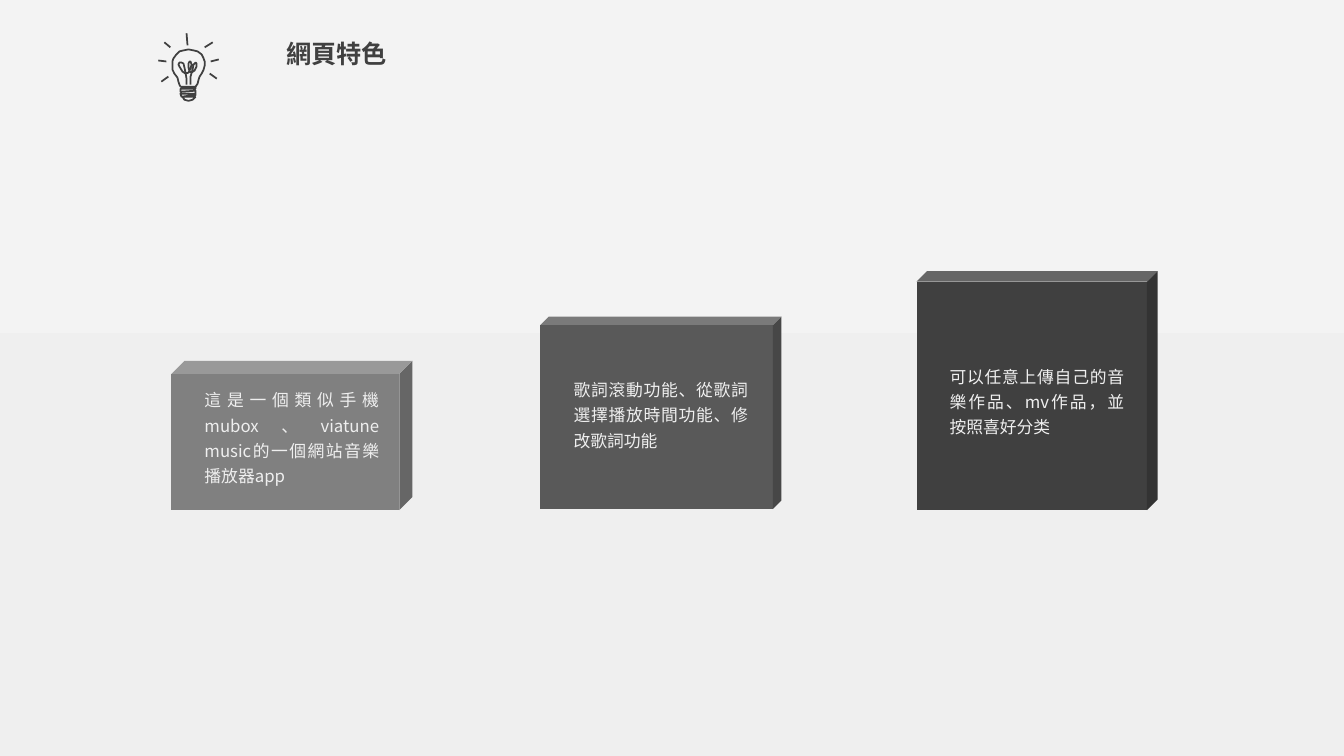
"""Build the slide of website features: a light bulb, a title and three rising cubes."""
import pptx
import pptx.dml.color
import pptx.enum.shapes
import pptx.enum.text
import pptx.oxml
import pptx.oxml.ns
import pptx.util

PX = 9144
FONT = "Noto Sans CJK SC"
DARK = "404040"
PALE = "EFEFEF"

BULB_STROKES = [
    [(179, 86), (178, 84), (177, 81), (176, 77), (173, 73), (171, 69), (171, 65),
     (171, 61), (172, 58), (175, 54), (178, 51), (182, 50), (187, 49), (192, 50),
     (196, 51), (200, 54), (202, 58), (203, 61), (203, 65), (202, 69), (200, 73),
     (198, 76), (197, 79), (196, 83), (194, 86)],
    [(185, 84), (185, 78), (184, 72), (183, 67), (182, 63), (180, 62), (178, 62),
     (177, 64), (178, 66), (181, 71), (184, 73), (187, 72), (189, 68), (190, 64),
     (189, 61), (188, 61), (187, 63), (187, 67), (188, 71), (190, 72), (193, 70),
     (195, 66), (195, 63), (194, 62), (192, 64), (191, 69), (189, 76), (189, 84)],
    [(179, 86), (194, 86), (194, 88), (179, 88), (179, 91), (194, 90), (194, 93),
     (179, 93), (180, 96), (194, 94), (193, 96), (181, 96), (183, 99), (187, 100),
     (191, 99), (194, 96)],
]
RAYS = [
    (185, 33, 186, 45), (211, 42, 203, 47), (217, 59, 209, 61), (215, 78, 208, 73),
    (163, 42, 169, 47), (157, 60, 165, 61), (160, 81, 167, 76),
]
FEATURES = [
    (170, 358, 148, 0.088, "808080", 377, 111,
     "這是一個類似手機mubox、viatune music的一個網站音樂播放器app"),
    (536, 314, 191, 0.044, "595959", 367, 86,
     "歌詞滾動功能、從歌詞選擇播放時間功能、修改歌詞功能"),
    (909, 269, 237, 0.044, "404040", 354, 86,
     "可以任意上傳自己的音樂作品、mv作品，並按照喜好分类"),
]


def px(*lengths):
    """Turn whole px lengths into EMU."""
    return [length * PX for length in lengths]


def color(value):
    """Turn a hex string into a colour."""
    return pptx.dml.color.RGBColor.from_string(value)


def style_line(line):
    """Give a stroke the weight and colour of the drawing."""
    line.width = pptx.util.Pt(1.25)
    line.color.rgb = color(DARK)


def fill_text(shape, text, size, hue, alignment, bold=False, spacing=None):
    """Write one formatted paragraph into a shape."""
    frame = shape.text_frame
    frame.text = text
    frame.word_wrap = True
    frame.vertical_anchor = pptx.enum.text.MSO_ANCHOR.TOP
    frame.auto_size = pptx.enum.text.MSO_AUTO_SIZE.SHAPE_TO_FIT_TEXT
    paragraph = frame.paragraphs[0]
    paragraph.alignment = alignment
    paragraph.line_spacing = spacing
    font = paragraph.font
    font.size = pptx.util.Pt(size)
    font.bold = bold
    font.color.rgb = color(hue)
    font.name = FONT
    properties = paragraph._p.pPr.find(pptx.oxml.ns.qn("a:defRPr"))
    east_asian = pptx.oxml.parse_xml(
        f'<a:ea {pptx.oxml.ns.nsdecls("a")} typeface="{FONT}"/>')
    properties.append(east_asian)


def set_background(slide):
    """Fade the background from pale at the foot to lighter at the top."""
    fill = slide.background.fill
    fill.gradient()
    fill.gradient_angle = 90
    for stop, position, hue in zip(fill.gradient_stops, (0.12, 1), (PALE, "F3F3F3")):
        stop.position = position
        stop.color.rgb = color(hue)


def add_bulb(slide):
    """Draw the bulb outline, filament and base as one freeform."""
    builder = slide.shapes.build_freeform(*BULB_STROKES[0][0], scale=PX)
    for stroke in BULB_STROKES:
        builder.move_to(*stroke[0])
        builder.add_line_segments(stroke[1:], close=False)
    bulb = builder.convert_to_shape()
    bulb.shadow.inherit = False
    bulb.fill.background()
    style_line(bulb.line)


def add_ray(slide, ends):
    """Draw one ray of light."""
    ray = slide.shapes.add_connector(
        pptx.enum.shapes.MSO_CONNECTOR.STRAIGHT, *px(*ends))
    style_line(ray.line)
    ray._element.spPr.append(
        pptx.oxml.parse_xml(f'<a:effectLst {pptx.oxml.ns.nsdecls("a")}/>'))


def add_cube(slide, left, top, height, depth, hue):
    """Draw one cube."""
    cube = slide.shapes.add_shape(
        pptx.enum.shapes.MSO_SHAPE.CUBE, *px(left, top, 239, height))
    cube.adjustments[0] = depth
    cube.shadow.inherit = False
    cube.fill.solid()
    cube.fill.fore_color.rgb = color(hue)
    cube.line.fill.background()


def add_caption(slide, left, top, height, text):
    """Write the justified text of one feature."""
    caption = slide.shapes.add_textbox(*px(left, top, 193, height))
    fill_text(caption, text, 12, PALE, pptx.enum.text.PP_ALIGN.JUSTIFY, spacing=1.25)


def add_title(slide, text):
    """Place and write the title."""
    title = slide.shapes.title
    title.left, title.top, title.width, title.height = px(63, 33, 542, 40)
    fill_text(title, text, 18, DARK, pptx.enum.text.PP_ALIGN.CENTER, bold=True)


def main():
    """Build and save the slide."""
    presentation = pptx.Presentation()
    presentation.slide_width, presentation.slide_height = px(1333, 750)
    slide = presentation.slides.add_slide(presentation.slide_layouts[5])
    set_background(slide)
    add_bulb(slide)
    for ends in RAYS:
        add_ray(slide, ends)
    add_title(slide, "網頁特色")
    for left, top, height, depth, hue, text_top, text_height, text in FEATURES:
        add_cube(slide, left, top, height, depth, hue)
        add_caption(slide, left + 23, text_top, text_height, text)
    presentation.save("out.pptx")


if __name__ == "__main__":
    main()
